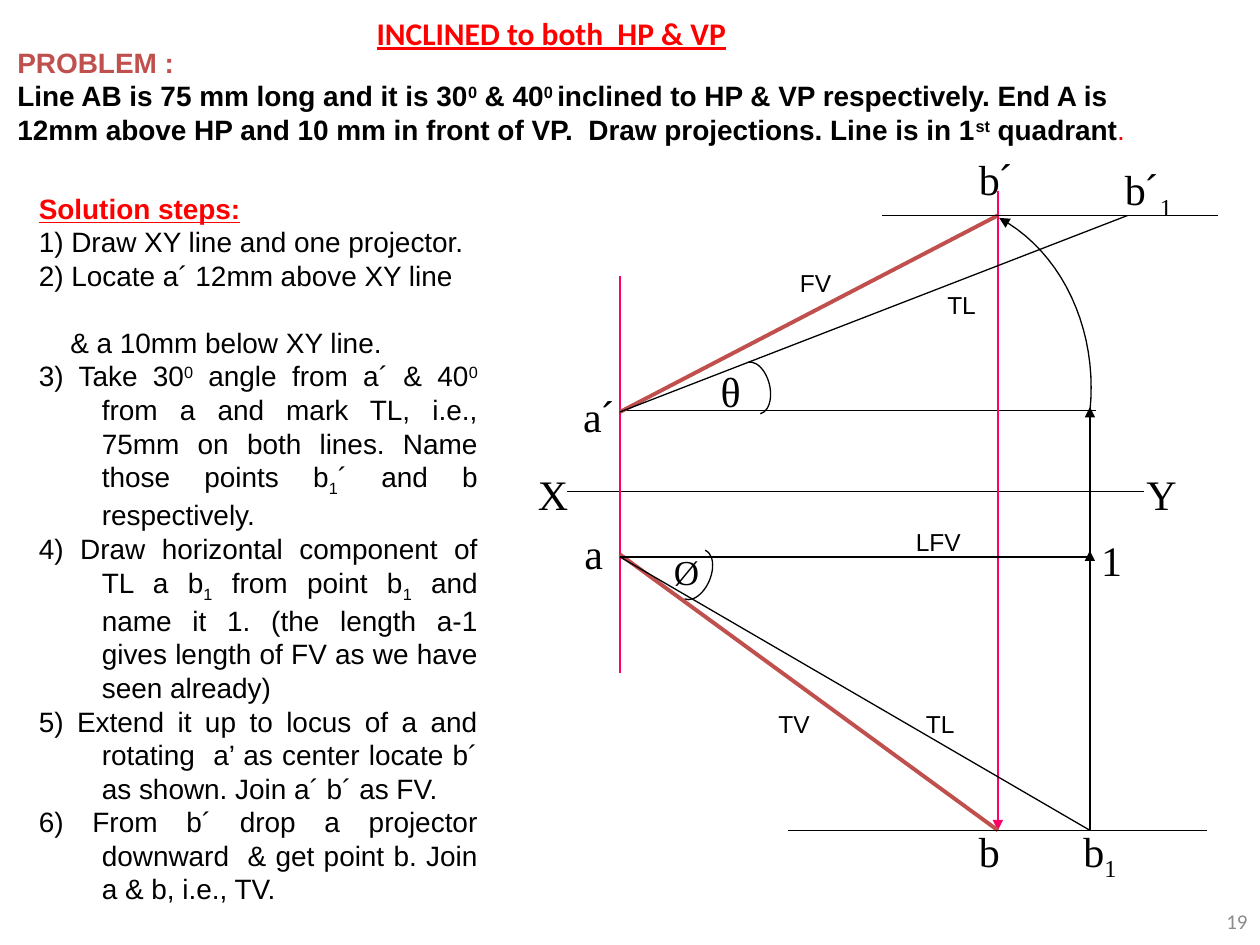
from lxml.etree import SubElement
from pptx import Presentation
from pptx.dml.color import RGBColor
from pptx.enum.shapes import MSO_CONNECTOR, MSO_SHAPE
from pptx.enum.text import MSO_ANCHOR, MSO_AUTO_SIZE, PP_ALIGN
from pptx.oxml.ns import qn
from pptx.util import Inches, Pt

COLORS = {"black": "000000", "red": "FF0000", "brick": "C0504D",
          "pink": "FF0066", "gray": "8C8C8C"}
SERIF, SANS, TITLE_FONT = "Times New Roman", "Arial", "Calibri"
SUPER, SUB = {"baseline": 30}, {"baseline": -25}
HEADING = {"color": "red", "bold": True, "underline": True}
PRIME = ("´", {"font": SANS})

TITLE = [["INCLINED to both  HP & VP"]]
PROBLEM = [
    [("PROBLEM :", {"color": "brick"})],
    ["Line AB is 75 mm long and it is 30", ("0", SUPER), " & 40", ("0 ", SUPER),
     "inclined to HP & VP respectively. End A is 12mm above HP and 10 mm in front of VP."
     "  Draw projections. Line is in 1", ("st", SUPER), " quadrant",
     (".", {"color": "red", "bold": False})],
]
STEPS = [
    [("Solution steps:", HEADING)],
    ["1) Draw XY line and one projector."],
    ["2) Locate a´ 12mm above XY line"],
    ["& a 10mm below XY line."],
    ["3) Take 30", ("0", SUPER), " angle from a´ & 40", ("0 ", SUPER),
     "from a and mark TL, i.e., 75mm on both lines. Name those points b", ("1", SUB),
     "´ and b respectively."],
    ["4) Draw horizontal component of TL a b", ("1", SUB), " from point b", ("1", SUB),
     " and name it 1. (the length a-1 gives length of FV as we have seen already)"],
    ["5) Extend it up to locus of a and rotating  a’ as center locate b´ as shown. "
     "Join a´ b´ as FV."],
    ["6) From b´ drop a projector downward  & get point b. Join a & b, i.e., TV."],
]
CONTINUED_STEP = 3

POINT_LABELS = [
    (4.53, 3.05, 0.46, ["a", PRIME]), (7.67, 1.17, 0.48, ["b", PRIME]),
    (4.54, 4.14, 0.35, ["a"]), (7.67, 6.5, 0.37, ["b"]),
    (4.17, 3.67, 0.44, ["X"]), (9, 3.67, 0.44, ["Y"]),
    (8.83, 1.25, 0.61, ["b", PRIME, ("1", SUB)]),
    (8.5, 6.5, 0.48, ["b", ("1", SUB)]),
    (5.25, 4.32, 0.39, [("Ø", {"size": 20})]),
    (5.62, 2.85, 0.38, ["θ"]), (8.64, 4.19, 0.37, ["1"]),
]
VIEW_LABELS = [
    (7.17, 4.13, 0.56, ["LFV"]), (7.42, 2.25, 0.43, ["TL"]),
    (7.25, 5.58, 0.43, ["TL"]), (6.25, 2.08, 0.45, ["FV"]),
    (6.08, 5.58, 0.45, ["TV"]),
]

A_X, B_X, ONE_X = 4.92, 7.92, 8.65
TOP_LOCUS, A_FRONT, XY, A_TOP, BOTTOM_LOCUS = 1.71, 3.27, 3.9, 4.42, 6.59
LINES = [
    ((4.5, XY), (9.08, XY), "black", 0.75, None),
    ((A_X, 2.19), (A_X, 5.34), "pink", 0.75, None),
    ((A_X, 3.26), (8.7, 3.26), "black", 0.75, None),
    ((A_X, A_FRONT), (B_X, TOP_LOCUS), "brick", 2.25, None),
    ((B_X, 1.52), (B_X, BOTTOM_LOCUS), "pink", 0.75, "tailEnd"),
    ((A_X, 4.4), (B_X, BOTTOM_LOCUS), "brick", 2.25, None),
    ((6.25, BOTTOM_LOCUS), (9.58, BOTTOM_LOCUS), "black", 0.75, None),
    ((ONE_X, 4.37), (ONE_X, BOTTOM_LOCUS), "black", 0.75, "headEnd"),
    ((A_X, A_TOP), (ONE_X, A_TOP), "black", 0.75, None),
    ((A_X, A_TOP), (ONE_X, BOTTOM_LOCUS), "black", 0.75, None),
    ((A_X, A_FRONT), (8.95, TOP_LOCUS), "black", 0.75, None),
    ((7, TOP_LOCUS), (9.67, TOP_LOCUS), "black", 0.75, None),
    ((ONE_X, 3.23), (ONE_X, 4.46), "black", 0.75, "headEnd"),
]
ANGLE_ARCS = [(5.86, 2.87, 346.4), (5.39, 4.35, 23)]
ROTATION_CURVE = [(7.93, 1.73), (8.43, 2), (8.72, 2.62), (8.65, 3.27)]
CURVE_SEGMENTS = 20


def rgb(name):
    return RGBColor.from_string(COLORS[name])


def style_line(shape, color, width, arrow=None):
    shape.line.color.rgb = rgb(color)
    shape.line.width = Pt(width)
    if arrow:
        SubElement(shape.line._get_or_add_ln(), qn("a:" + arrow), type="triangle")


def add_line(shapes, start, end, color, width, arrow):
    points = [Inches(value) for value in (*start, *end)]
    connector = shapes.add_connector(MSO_CONNECTOR.STRAIGHT, *points)
    style_line(connector, color, width, arrow)
    SubElement(connector._element.spPr, qn("a:effectLst"))


def add_angle_arc(shapes, left, top, rotation):
    arc = shapes.add_shape(MSO_SHAPE.ARC, Inches(left), Inches(top),
                           Inches(0.25), Inches(0.42))
    arc.adjustments[0], arc.adjustments[1] = 162, 54
    arc.rotation = rotation
    arc.shadow.inherit = False
    arc.fill.background()
    style_line(arc, "black", 0.75)


def curve_point(t):
    weights = ((1 - t) ** 3, 3 * t * (1 - t) ** 2, 3 * t ** 2 * (1 - t), t ** 3)
    return tuple(Inches(sum(w * point[axis] for w, point in zip(weights, ROTATION_CURVE)))
                 for axis in (0, 1))


def add_rotation_curve(shapes):
    points = [curve_point(i / CURVE_SEGMENTS) for i in range(CURVE_SEGMENTS + 1)]
    builder = shapes.build_freeform(*points[0])
    builder.add_line_segments(points[1:], close=False)
    curve = builder.convert_to_shape()
    curve.shadow.inherit = False
    curve.fill.background()
    style_line(curve, "black", 0.75, "headEnd")


def add_run(paragraph, item, base):
    text, changes = item if isinstance(item, tuple) else (item, {})
    style = {"color": "black", **base, **changes}
    run = paragraph.add_run()
    run.text = text
    run.font.name = style["font"]
    run.font.size = Pt(style["size"])
    run.font.color.rgb = rgb(style["color"])
    run.font.bold = style.get("bold", False)
    run.font.underline = style.get("underline", False)
    if "baseline" in style:
        run._r.get_or_add_rPr().set("baseline", str(style["baseline"] * 1000))


def add_text(shapes, box, paragraphs, wrap=True, **base):
    text_box = shapes.add_textbox(*[Inches(value) for value in box])
    frame = text_box.text_frame
    frame.word_wrap = wrap
    frame.auto_size = MSO_AUTO_SIZE.SHAPE_TO_FIT_TEXT
    for index, items in enumerate(paragraphs):
        paragraph = frame.add_paragraph() if index else frame.paragraphs[0]
        for item in items:
            add_run(paragraph, item, base)
    return frame


def format_steps(frame):
    for index, paragraph in enumerate(frame.paragraphs):
        continued = index == CONTINUED_STEP
        properties = paragraph._p.get_or_add_pPr()
        properties.set("marL", str(Inches(0.25 if continued else 0.5)))
        properties.set("indent", str(Inches(0 if continued else -0.5)))
        if index:
            paragraph.alignment = PP_ALIGN.JUSTIFY
        if continued:
            paragraph.space_before = Pt(19)


def main():
    presentation = Presentation()
    presentation.slide_width, presentation.slide_height = Inches(10), Inches(7.5)
    shapes = presentation.slides.add_slide(presentation.slide_layouts[6]).shapes

    for arc in ANGLE_ARCS:
        add_angle_arc(shapes, *arc)
    for line in LINES:
        add_line(shapes, *line)
    add_rotation_curve(shapes)

    for left, top, width, items in POINT_LABELS:
        add_text(shapes, (left, top, width, 0.5), [items], False, font=SERIF, size=24)
    for left, top, width, items in VIEW_LABELS:
        add_text(shapes, (left, top, width, 0.33), [items], False, font=SANS, size=14)

    add_text(shapes, (0.04, 0.31, 9.54, 0.91), PROBLEM, font=SANS, size=16, bold=True)
    format_steps(add_text(shapes, (0.21, 1.47, 3.68, 5.49), STEPS, font=SANS, size=16))
    add_text(shapes, (2.89, 0.06, 3.63, 0.4), TITLE, font=TITLE_FONT, size=18, **HEADING)

    number = add_text(shapes, (7.75, 7.11, 2.25, 0.4), [["19"]],
                      font=TITLE_FONT, size=12, color="gray")
    number.auto_size = MSO_AUTO_SIZE.NONE
    number.vertical_anchor = MSO_ANCHOR.MIDDLE
    number.paragraphs[0].alignment = PP_ALIGN.RIGHT

    presentation.save("out.pptx")


if __name__ == "__main__":
    main()
